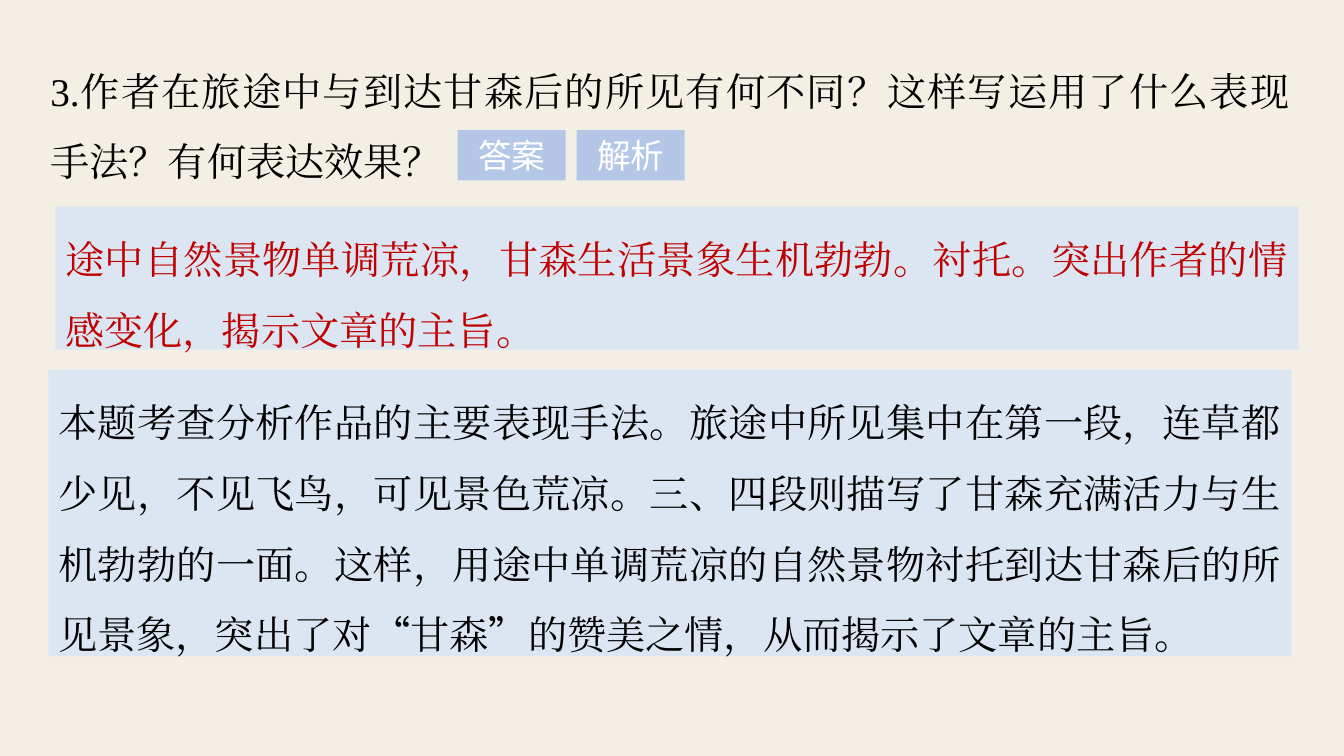
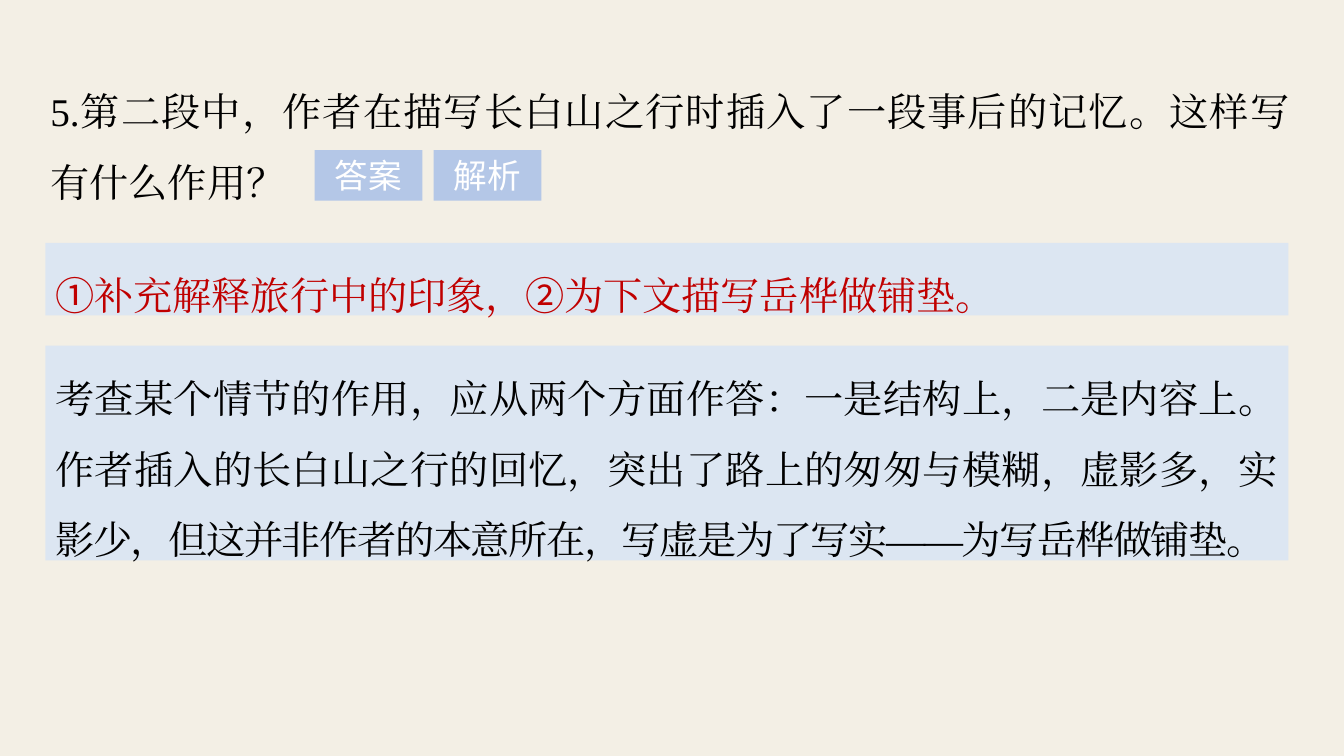
from itertools import groupby

from lxml import etree
from pptx import Presentation
from pptx import util as u
from pptx.dml.color import RGBColor
from pptx.enum import shapes, text
from pptx.oxml.ns import qn

COLORS = {
    "paper": "F3EFE5",
    "button": "B4C7E7",
    "panel": "DCE6F2",
    "black": "000000",
    "red": "C00000",
    "white": "FFFFFF",
}
SERIF, SANS, BUTTON_FONT = "Times New Roman", "Noto Sans CJK SC", "Arial"
SANS_MARKS = "“”①②"
BUTTONS = ["答案", "解析"]
BUTTON_W, BUTTON_H, BUTTON_STEP = 1.07, 0.5, 1.18
PANEL_W = 12.33
LINE_PITCH = u.Pt(50.5)

SLIDES = [
    {
        "question": "3.作者在旅途中与到达甘森后的所见有何不同？这样写运用了什么表现手法？有何表达效果？",
        "top": 0.36,
        "buttons_left": 4.54,
        "panels": [
            {"at": (0.48, 3.67), "height": 2.84, "color": "black", "parts": [
                ("本题考查分析作品的主要表现手法。旅途中所见集中在第一段，连草都少见，不见飞鸟，"
                 "可见景色荒凉。三、四段则描写了甘森充满活力与生机勃勃的一面。这样，用途中单调荒凉的"
                 "自然景物衬托到达甘森后的所见景象，突出了对“甘森”的赞美之情，从而揭示了文章的主旨。", 0)]},
            {"at": (0.55, 2.05), "height": 1.42, "color": "red", "parts": [
                ("途中自然景物单调荒凉，甘森生活景象生机勃勃。衬托。突出作者的情感变化，揭示文章的主旨。", 0)]},
        ],
    },
    {
        "question": "5.第二段中，作者在描写长白山之行时插入了一段事后的记忆。这样写有什么作用？",
        "top": 0.56,
        "buttons_left": 3.12,
        "panels": [
            {"at": (0.45, 3.43), "height": 2.13, "color": "black", "parts": [
                ("考查某个情节的作用，应从两个方面作答：一是结构上，二是内容上。"
                 "作者插入的长白山之行的回忆，突出了路上的匆匆与模糊，虚影多，实", 0),
                ("影少，但这并非作者的本意所在，写虚是为了写实——为写岳桦做铺垫。", -1)]},
            {"at": (0.45, 2.41), "height": 0.72, "color": "red", "parts": [
                ("①补充解释旅行中的印象，②为下文描写岳桦做铺垫。", 0)]},
        ],
    },
]


def add_run(p, words, font, size, color, spacing=0):
    r = p.add_run()
    r.text = words
    r.font.name = font
    r.font.size = u.Pt(size)
    r.font.bold = False
    r.font.color.rgb = RGBColor.from_string(COLORS[color])
    rPr = r.font._element
    etree.SubElement(rPr, qn("a:ea")).set("typeface", font)
    if spacing:
        rPr.set("spc", str(spacing * 100))


def write_body(tf, parts, color):
    tf.word_wrap = True
    tf.auto_size = text.MSO_AUTO_SIZE.NONE
    tf.vertical_anchor = text.MSO_ANCHOR.TOP
    p = tf.paragraphs[0]
    p.alignment = text.PP_ALIGN.JUSTIFY
    p.line_spacing = LINE_PITCH
    for words, spacing in parts:
        for is_mark, chars in groupby(words, lambda c: c in SANS_MARKS):
            add_run(p, "".join(chars), SANS if is_mark else SERIF, 28, color, spacing)


def add_box(s, left, top, width, height, fill):
    sp = s.shapes.add_shape(shapes.MSO_SHAPE.RECTANGLE, *map(u.Inches, (left, top, width, height)))
    sp.shadow.inherit = False
    sp.fill.solid()
    sp.fill.fore_color.rgb = RGBColor.from_string(COLORS[fill])
    sp.line.fill.background()
    return sp


def add_question(s, words, top):
    sp = s.shapes.title
    sp.left, sp.top, sp.width, sp.height = map(u.Inches, (0.37, top, 12.55, 1.46))
    tf = sp.text_frame
    tf.margin_left = tf.margin_right = u.Inches(0.13)
    tf.margin_top = tf.margin_bottom = u.Inches(0.07)
    write_body(tf, [(words, 0)], "black")


def add_buttons(s, left, top):
    for i, label in enumerate(BUTTONS):
        sp = add_box(s, left + i * BUTTON_STEP, top, BUTTON_W, BUTTON_H, "button")
        p = sp.text_frame.paragraphs[0]
        p.alignment = text.PP_ALIGN.CENTER
        add_run(p, label, BUTTON_FONT, 24, "white")


def main():
    prs = Presentation()
    prs.slide_width, prs.slide_height = u.Inches(13.33), u.Inches(7.5)
    paper = prs.slide_master.background.fill
    paper.solid()
    paper.fore_color.rgb = RGBColor.from_string(COLORS["paper"])
    for item in SLIDES:
        s = prs.slides.add_slide(prs.slide_layouts[5])
        add_question(s, item["question"], item["top"])
        add_buttons(s, item["buttons_left"], item["top"] + 0.93)
        for panel in item["panels"]:
            sp = add_box(s, *panel["at"], PANEL_W, panel["height"], "panel")
            write_body(sp.text_frame, panel["parts"], panel["color"])
    prs.save("out.pptx")


if __name__ == "__main__":
    main()
